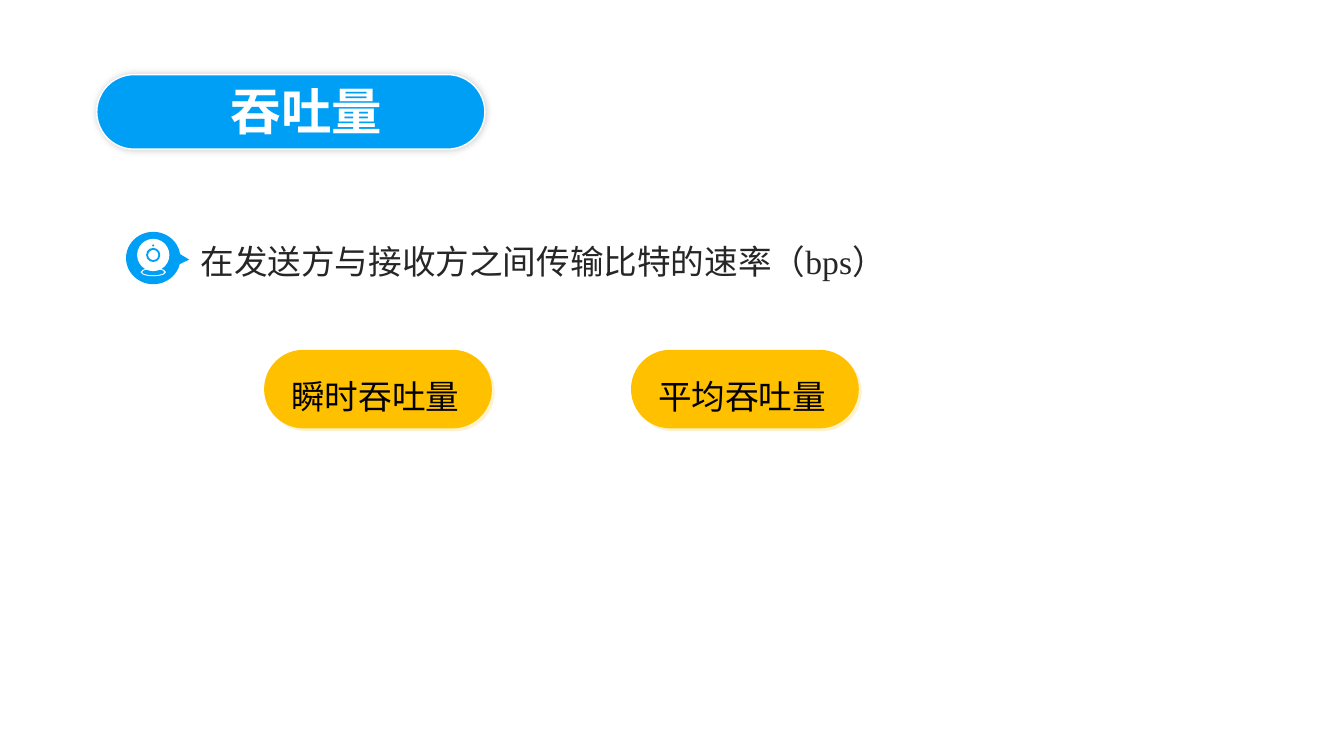
"""Build the throughput definition slide."""
from lxml.etree import SubElement
from pptx import Presentation
from pptx.dml.color import RGBColor
from pptx.enum.shapes import MSO_SHAPE
from pptx.enum.text import MSO_ANCHOR, MSO_AUTO_SIZE
from pptx.oxml.ns import qn
from pptx.util import Inches, Pt

COLORS = {
    "blue": "009FF6", "white": "FFFFFF", "amber": "FFC000", "cream": "FFF2CC",
    "body": "262626", "black": "000000",
}
WIDTH, HEIGHT = Inches(13.33), Inches(7.5)
SANS, SERIF = "Noto Sans CJK SC", "Times New Roman"


def color(name):
    """Return a named colour."""
    return RGBColor.from_string(COLORS[name])


def area(left, top, width, height):
    """Turn percentages of the slide into lengths."""
    shares = zip((left, top, width, height), (WIDTH, HEIGHT) * 2)
    return [round(share * whole / 100) for share, whole in shares]


def add_figure(page, kind, place, fill, line=None, adjustments=()):
    """Add a filled preset shape."""
    figure = page.shapes.add_shape(kind, *area(*place))
    figure.shadow.inherit = False
    figure.fill.solid()
    figure.fill.fore_color.rgb = color(fill)
    if line:
        figure.line.color.rgb = color(line)
        figure.line.width = Pt(1)
    else:
        figure.line.fill.background()
    for index, value in enumerate(adjustments):
        figure.adjustments[index] = value
    return figure


def add_shadow(figure, name, opacity=100, blur=0, distance=0, angle=0):
    """Give a shape an outer shadow."""
    effects = figure.element.spPr.find(qn("a:effectLst"))
    shadow = SubElement(
        effects, qn("a:outerShdw"), blurRad=str(Pt(blur)), dist=str(Pt(distance)),
        dir=str(angle * 60000), algn="ctr", rotWithShape="0")
    tint = SubElement(shadow, qn("a:srgbClr"), val=COLORS[name])
    SubElement(tint, qn("a:alpha"), val=str(opacity * 1000))


def add_text(page, text, place, size=24, font=SANS, ink="black", bold=False, spacing=None):
    """Add a wrapping text box with one paragraph."""
    box = page.shapes.add_textbox(*area(*place))
    frame = box.text_frame
    frame.word_wrap = True
    frame.auto_size = MSO_AUTO_SIZE.SHAPE_TO_FIT_TEXT
    frame.vertical_anchor = MSO_ANCHOR.TOP
    para = frame.paragraphs[0]
    para.line_spacing = spacing
    span = para.add_run()
    span.text = text
    span.font.size, span.font.name, span.font.bold = Pt(size), font, bold
    span.font.color.rgb = color(ink)
    SubElement(span.font._element, qn("a:ea"), typeface=SANS)


def add_title(page, text):
    """Add the title on its blue pill."""
    pill = add_figure(page, MSO_SHAPE.ROUNDED_RECTANGLE, (7.2, 9.87, 28.88, 9.87),
                      "blue", "white", [0.5])
    add_shadow(pill, "black", opacity=20, blur=5)
    add_text(page, text, (16.43, 10, 19.65, 9.47), size=36, ink="white", bold=True)


def add_camera(page):
    """Add the callout with a webcam made of stacked discs."""
    add_figure(page, MSO_SHAPE.OVAL_CALLOUT, (9.38, 30.67, 4.05, 6.93),
               "blue", adjustments=[0.66, 0.03])
    center = 11.4
    discs = [
        (36, 1.88, 1.07, "white"), (36, 1.65, 0.8, "blue"),
        (33.73, 2.4, 4.27, "white"), (33.73, 1.05, 1.87, "blue"),
        (33.73, 0.75, 1.33, "white"), (32.47, 0.15, 0.27, "blue"),
    ]
    for middle, width, height, fill in discs:
        place = (center - width / 2, middle - height / 2, width, height)
        add_figure(page, MSO_SHAPE.OVAL, place, fill)


def add_label(page, text, left):
    """Add an amber pill with its label."""
    pill = add_figure(page, MSO_SHAPE.ROUNDED_RECTANGLE, (left, 46.27, 16.95, 10.4),
                      "amber", adjustments=[0.5])
    add_shadow(pill, "cream", distance=2.8, angle=45)
    add_text(page, text, (left + 1.28, 46.4, 17.1, 8.53), spacing=1.5)


def main():
    """Build and save the deck."""
    deck = Presentation()
    deck.slide_width, deck.slide_height = WIDTH, HEIGHT
    page = deck.slides.add_slide(deck.slide_layouts[6])
    add_title(page, "吞吐量")
    add_camera(page)
    add_text(page, "在发送方与接收方之间传输比特的速率（bps）",
             (14.18, 30.67, 52.88, 7.33), font=SERIF, ink="body", spacing=1.1)
    for column, text in enumerate(("瞬时吞吐量", "平均吞吐量")):
        add_label(page, text, 19.65 + 27.3 * column)
    deck.save("out.pptx")


if __name__ == "__main__":
    main()
